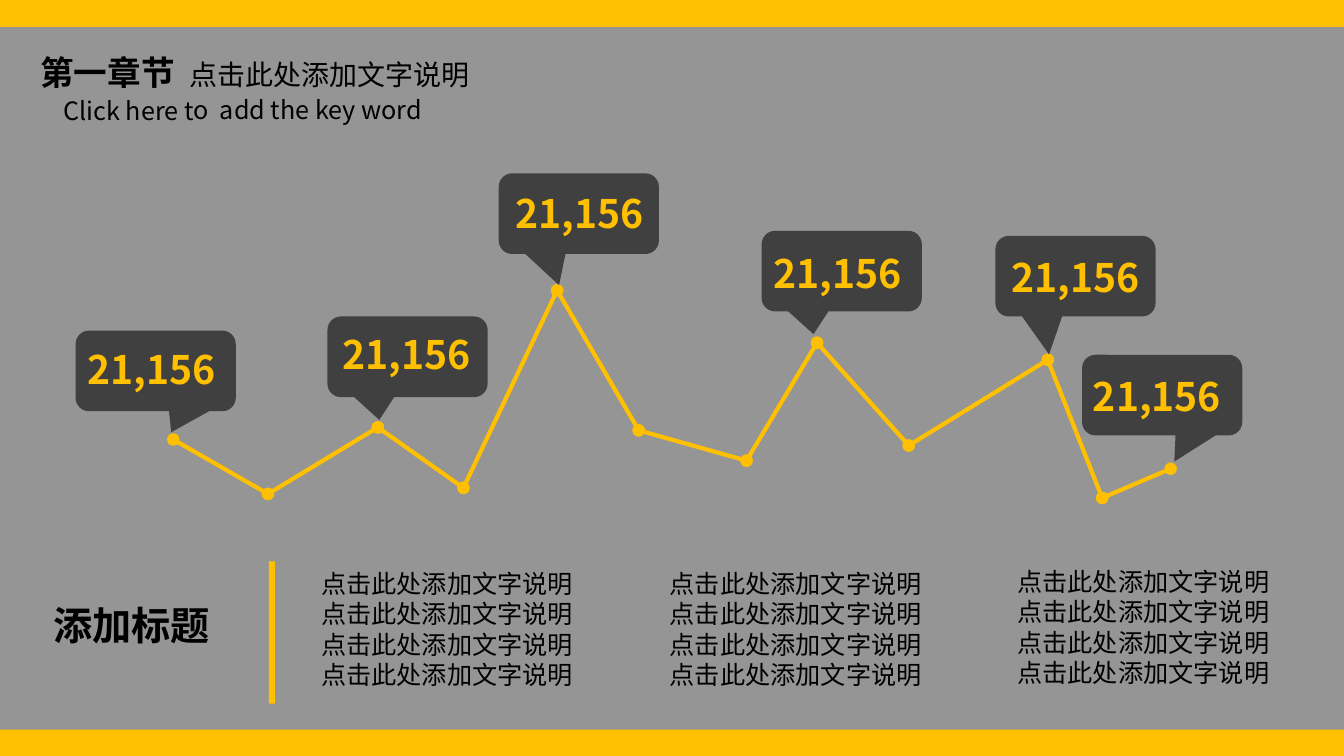
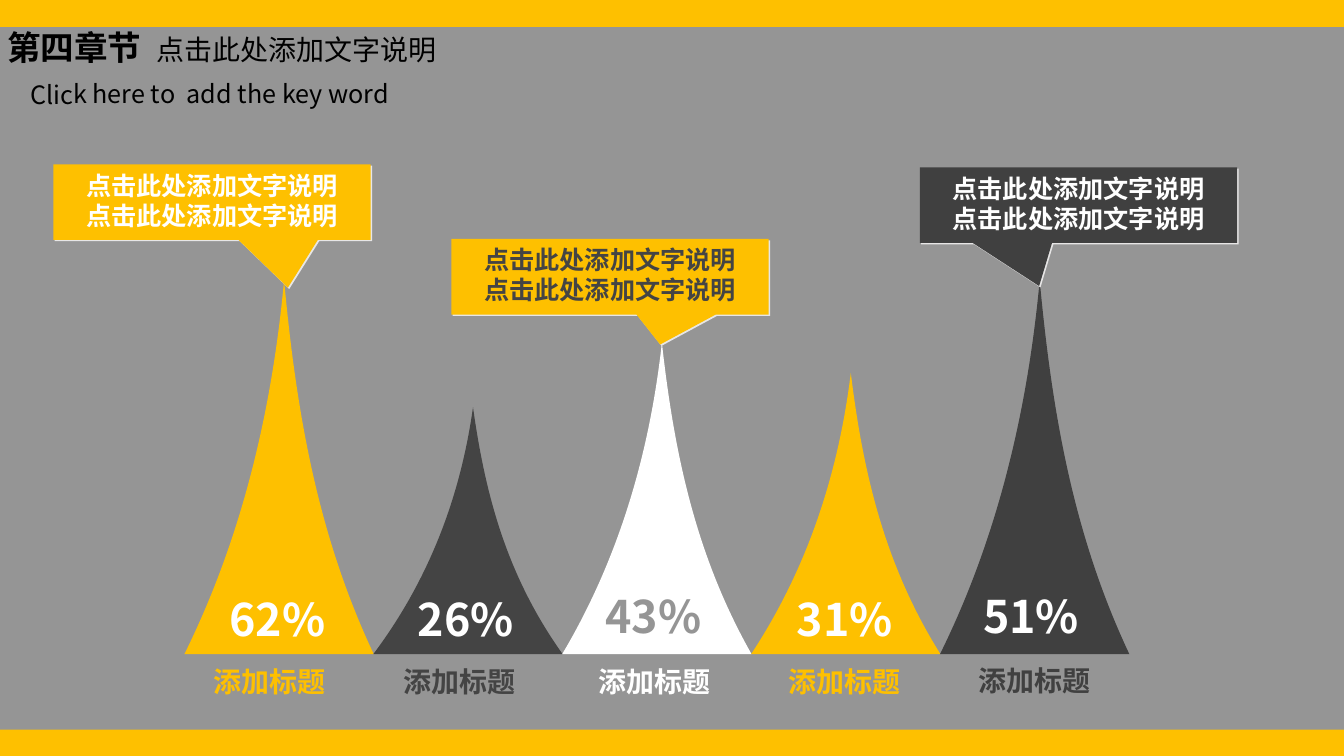
from lxml.etree import SubElement
from pptx import Presentation
from pptx.dml.color import RGBColor
from pptx.enum.shapes import MSO_CONNECTOR, MSO_SHAPE
from pptx.enum.text import MSO_ANCHOR, MSO_AUTO_SIZE, PP_ALIGN
from pptx.oxml.ns import qn
from pptx.util import Inches, Pt

FONT = "Noto Sans CJK SC"
YELLOW, GREY, DARK, CHARCOAL = "FEC000", "959595", "404040", "444444"
WHITE, BLACK, SHADOW = "FFFFFF", "000000", "E7E6E6"
color = RGBColor.from_string
PHRASE = "点击此处添加文字说明"


def write(p, text, size=18, fg=BLACK, bold=False, align=PP_ALIGN.LEFT):
    p.alignment = align
    r = p.add_run()
    r.text = text
    r.font.size, r.font.bold, r.font.name = Pt(size), bold, FONT
    r.font.color.rgb = color(fg)
    SubElement(r.font._element, qn("a:ea"), typeface=FONT)


def box(s, x, y, w, h, lines=(), kind=None, fill=None, **fmt):
    at = [Inches(v) for v in (x, y, w, h)]
    if kind is None:
        sp = s.shapes.add_textbox(*at)
        sp.text_frame.auto_size = MSO_AUTO_SIZE.SHAPE_TO_FIT_TEXT
    else:
        sp = s.shapes.add_shape(kind, *at)
        sp.shadow.inherit = False
        sp.fill.solid()
        sp.fill.fore_color.rgb = color(fill)
        sp.line.fill.background()
    tf = sp.text_frame
    tf.word_wrap = True
    for i, line in enumerate(lines):
        write(tf.add_paragraph() if i else tf.paragraphs[0], line, **fmt)
    return sp


prs = Presentation()
prs.slide_width, prs.slide_height = Inches(13.34), Inches(7.5)

# Slides with chapter headings: text, title left and top, subtitle left and top
headings = [("第一章节", 0.3, 0.46, 0.53, 0.89),
            ("第四章节", -0.03, 0.22, 0.2, 0.73)]
for chapter, x, y, sub_x, sub_y in headings:
    s = prs.slides.add_slide(prs.slide_layouts[5])
    title = s.shapes.title
    title.left, title.top = Inches(x), Inches(y)
    title.width, title.height = Inches(4.51), Inches(0.5)
    tf = title.text_frame
    tf.auto_size, tf.vertical_anchor = MSO_AUTO_SIZE.NONE, MSO_ANCHOR.TOP
    p = tf.paragraphs[0]
    tabs = SubElement(p._p.get_or_add_pPr(), qn("a:tabLst"))
    SubElement(tabs, qn("a:tab"), pos=str(Inches(1.48)), algn="l")
    write(p, chapter + "\t", size=24, bold=True)
    write(p, PHRASE, size=20)
    sp = box(s, sub_x, sub_y, 4.05, 0.4, ["Click here to  add the key word"])
    sp.rotation = 359.9
trend, peaks = prs.slides

# Master: yellow background shows as bands above and below a grey panel
master = prs.slide_master
master.background.fill.solid()
master.background.fill.fore_color.rgb = color(YELLOW)
panel = box(trend, 0, 0.27, 13.34, 6.97, kind=MSO_SHAPE.RECTANGLE, fill=GREY)
panel._element.nvSpPr.cNvPr.set("id", "100")
master.shapes._spTree.insert(2, panel._element)

# Trend line with a dot at every point
points = [(1.72, 4.36), (2.66, 4.9), (3.75, 4.24), (4.6, 4.84), (5.53, 2.88),
          (6.34, 4.27), (7.41, 4.57), (8.11, 3.4), (9.02, 4.42), (10.4, 3.57),
          (10.94, 4.94), (11.62, 4.65)]
for start, end in zip(points, points[1:]):
    cn = trend.shapes.add_connector(MSO_CONNECTOR.STRAIGHT,
                                    *[Inches(v) for v in start + end])
    cn.line.width = Pt(3)
    cn.line.color.rgb = color(YELLOW)
    ln = cn.line._get_or_add_ln()
    SubElement(ln, qn("a:headEnd"), type="oval")
    SubElement(ln, qn("a:tailEnd"), type="oval")
    SubElement(cn._element.spPr, qn("a:effectLst"))

# Value callouts: left, top, pointer, left and top of the value
values = [(0.75, 3.28, 0.097, 0.761, 0.77, 3.38),
          (3.25, 3.14, -0.176, 0.782, 3.3, 3.23),
          (4.95, 1.72, -0.123, 0.887, 5.02, 1.83),
          (7.56, 2.29, -0.176, 0.782, 7.58, 2.42),
          (9.88, 2.34, -0.165, 0.97, 9.94, 2.46),
          (10.74, 3.52, 0.076, 0.824, 10.75, 3.64)]
for x, y, tip_x, tip_y, value_x, value_y in values:
    sp = box(trend, x, y, 1.59, 0.8,
             kind=MSO_SHAPE.ROUNDED_RECTANGULAR_CALLOUT, fill=DARK)
    sp.adjustments[0], sp.adjustments[1] = tip_x, tip_y
    box(trend, value_x, value_y, 1.59, 0.57, ["21,156"], size=28, fg=YELLOW, bold=True)

# Caption, divider and three text columns
box(trend, 0.43, 5.92, 1.81, 0.57, ["添加标题"], size=28, bold=True)
box(trend, 2.67, 5.57, 0.06, 1.41, kind=MSO_SHAPE.RECTANGLE, fill=YELLOW)
for x, y in [(3.09, 5.59), (6.55, 5.59), (10, 5.57)]:
    box(trend, x, y, 2.93, 1.3, [PHRASE, PHRASE * 2, PHRASE])

# Peaks: apex height, fill, percentage, its colour, left and top, label left and top
BASE, FIRST, LAST = 6.49, 1.83, 9.33
peak_data = [(3.71, YELLOW, "62%", WHITE, 2.18, 5.82, 2.02, 6.54),
             (2.45, CHARCOAL, "26%", WHITE, 4.05, 5.82, 3.91, 6.54),
             (3.09, WHITE, "43%", GREY, 5.91, 5.79, 5.84, 6.54),
             (2.79, YELLOW, "31%", WHITE, 7.81, 5.82, 7.73, 6.54),
             (3.71, DARK, "51%", WHITE, 9.66, 5.79, 9.61, 6.53)]
# Two Bezier sides: distance from the left foot, share of the height
sides = [(0.57, 0.31), (0.87, 0.65), (0.99, 1),
         (1.11, 0.65), (1.32, 0.32), (1.88, 0)]
for i, (height, fill, pct, fg, px, py, lx, ly) in enumerate(peak_data):
    left = FIRST + (LAST - FIRST) / (len(peak_data) - 1) * i
    builder = peaks.shapes.build_freeform(Inches(left), Inches(BASE))
    builder.add_line_segments([(Inches(left + dx), Inches(BASE - rise * height))
                               for dx, rise in sides], close=True)
    sp = builder.convert_to_shape()
    # Turn each three segments into one cubic curve
    segments = list(sp._element.iter(qn("a:lnTo")))
    for k in (0, 3):
        curve = segments[k]
        curve.tag = qn("a:cubicBezTo")
        for segment in segments[k + 1:k + 3]:
            curve.append(segment[0])
            segment.getparent().remove(segment)
    sp.shadow.inherit = False
    sp.fill.solid()
    sp.fill.fore_color.rgb = color(fill)
    sp.line.fill.background()
    box(peaks, px, py, 1.18, 0.64, [pct], size=32, fg=fg, bold=True)
    box(peaks, lx, ly, 1.35, 0.44, ["添加标题"], size=20, fg=fill, bold=True)

# Peak callouts: left, top, pointer, fill, text colour
notes = [(0.53, 1.63, 0.239, 1.132, YELLOW, WHITE),
         (4.48, 2.37, 0.158, 0.897, YELLOW, CHARCOAL),
         (9.13, 1.66, -0.124, 1.071, DARK, WHITE)]
for x, y, tip_x, tip_y, fill, fg in notes:
    sp = box(peaks, x, y, 3.15, 0.75, [PHRASE, PHRASE],
             MSO_SHAPE.RECTANGULAR_CALLOUT, fill,
             fg=fg, bold=True, align=PP_ALIGN.CENTER)
    sp.adjustments[0], sp.adjustments[1] = tip_x, tip_y
    sp.text_frame.margin_bottom = Inches(0.09)
    effects = sp._element.spPr.find(qn("a:effectLst"))
    shadow = SubElement(effects, qn("a:outerShdw"), blurRad="0", dist=str(Pt(1.4)),
                        dir="2700000", algn="tl", rotWithShape="0")
    SubElement(shadow, qn("a:srgbClr"), val=SHADOW)

prs.save("out.pptx")
